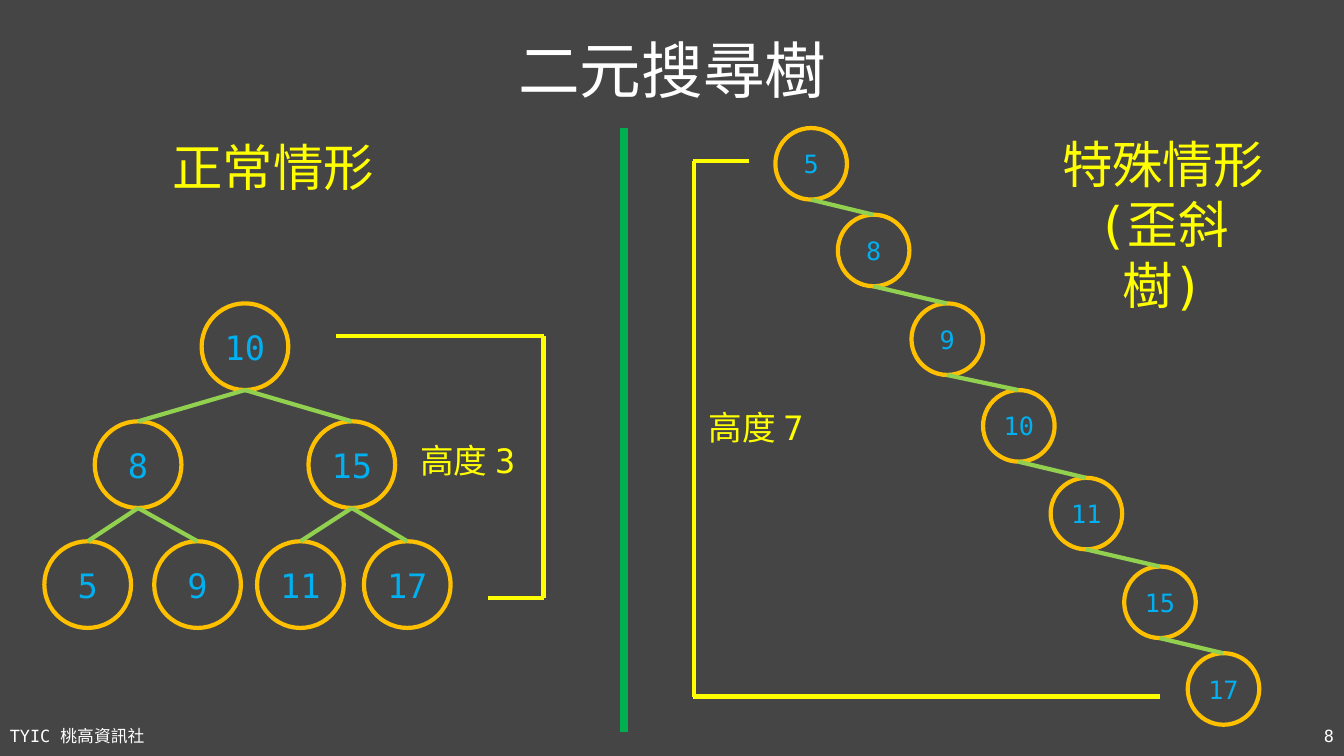
from pptx import Presentation, util as u
from pptx.dml.color import RGBColor
from pptx.enum import shapes, text

PX = 9144  # 100 px to the inch
THEME = {
    "font": "DejaVu Sans Mono",
    "back": "454545", "white": "FFFFFF", "yellow": "FFFF00",
    "ring": "FFC000", "key": "00B0F0", "edge": "92D050", "divider": "00B050",
    "title": 44, "heading": 36, "height": 24, "small_key": 18, "footer": 12,
}
ALIGN, ANCHOR = text.PP_ALIGN, text.MSO_ANCHOR


def write(sp, lines, size, color, align=ALIGN.CENTER, anchor=ANCHOR.MIDDLE, wrap=True):
    tf = sp.text_frame
    tf.word_wrap, tf.vertical_anchor = wrap, anchor
    tf.text = lines
    for p in tf.paragraphs:
        p.alignment = align
        p.font.name, p.font.size = THEME["font"], u.Pt(THEME[size])
        p.font.color.rgb = RGBColor.from_string(THEME[color])
    return tf


def line(x1, y1, x2, y2, color, width=3):
    c = s.shapes.add_connector(shapes.MSO_CONNECTOR.STRAIGHT,
                               x1 * PX, y1 * PX, x2 * PX, y2 * PX)
    c.line.color.rgb = RGBColor.from_string(THEME[color])
    c.line.width = u.Pt(width)
    sppr = c._element.spPr
    sppr.append(sppr.makeelement(
        "{http://schemas.openxmlformats.org/drawingml/2006/main}effectLst", {}))


prs = Presentation()
prs.slide_width, prs.slide_height = 1333 * PX, 750 * PX
s = prs.slides.add_slide(prs.slide_layouts[6])
s.background.fill.solid()
s.background.fill.fore_color.rgb = RGBColor.from_string(THEME["back"])

# Title, footer, headings and height labels
labels = [
    ("TYIC 桃高資訊社", (0, 710, 300, 40), "footer", "white", ALIGN.LEFT, ANCHOR.MIDDLE, True),
    ("8", (1033, 710, 300, 40), "footer", "white", ALIGN.RIGHT, ANCHOR.MIDDLE, True),
    ("二元搜尋樹", (92, 0, 1150, 145), "title", "white", ALIGN.CENTER, ANCHOR.MIDDLE, True),
    ("正常情形", (160, 130, 222, 71), "heading", "yellow", ALIGN.CENTER, ANCHOR.TOP, False),
    ("特殊情形\n(歪斜樹)", (1040, 127, 227, 131), "heading", "yellow", ALIGN.CENTER, ANCHOR.TOP, True),
    ("高度 3", (407, 432, 125, 50), "height", "yellow", ALIGN.LEFT, ANCHOR.TOP, False),
    ("高度 7", (693, 399, 125, 50), "height", "yellow", ALIGN.LEFT, ANCHOR.TOP, False),
]
for label, box, *style in labels:
    tf = write(s.shapes.add_textbox(*(v * PX for v in box)), label, *style)
    if style[0] == "title":
        tf.paragraphs[0].line_spacing = 0.9

line(619, 127, 619, 726, "divider", 6)

# Each tree: node diameter, key size, {key: (left, top)}, parent-child pairs
balanced = {10: (200, 301), 8: (94, 418), 15: (306, 418),
            5: (44, 537), 9: (153, 537), 11: (255, 537), 17: (361, 537)}
skewed = {5: (769, 127), 8: (831, 213), 9: (904, 301), 10: (975, 387),
          11: (1042, 474), 15: (1115, 562), 17: (1178, 648)}
keys = list(skewed)
trees = [
    (86, "height", balanced, [(10, 8), (10, 15), (8, 5), (8, 9), (15, 11), (15, 17)]),
    (71, "small_key", skewed, list(zip(keys, keys[1:]))),
]
for d, size, nodes, edges in trees:
    for key, (x, y) in nodes.items():
        sp = s.shapes.add_shape(shapes.MSO_SHAPE.OVAL, x * PX, y * PX, d * PX, d * PX)
        sp.shadow.inherit = False
        sp.fill.background()
        sp.line.color.rgb = RGBColor.from_string(THEME["ring"])
        sp.line.width = u.Pt(3)
        tf = write(sp, str(key), size, "key")
        tf.margin_left = tf.margin_right = 0
    for parent, child in edges:
        (x1, y1), (x2, y2) = nodes[parent], nodes[child]
        line(x1 + d // 2, y1 + d, x2 + d // 2, y2, "edge")

# Height brackets: spine x, top and bottom y, free ends of the two arms,
# and the step by which the arms overlap the spine to close the corners
for spine, top, bottom, top_end, bottom_end, lap in [
    (539, 333, 593, 333, 484, 1),
    (688, 160, 691, 743, 1151, -1),
]:
    line(spine, top, spine, bottom, "yellow")
    line(top_end, top, spine + lap, top, "yellow")
    line(bottom_end, bottom, spine + lap, bottom, "yellow")

prs.save("out.pptx")
